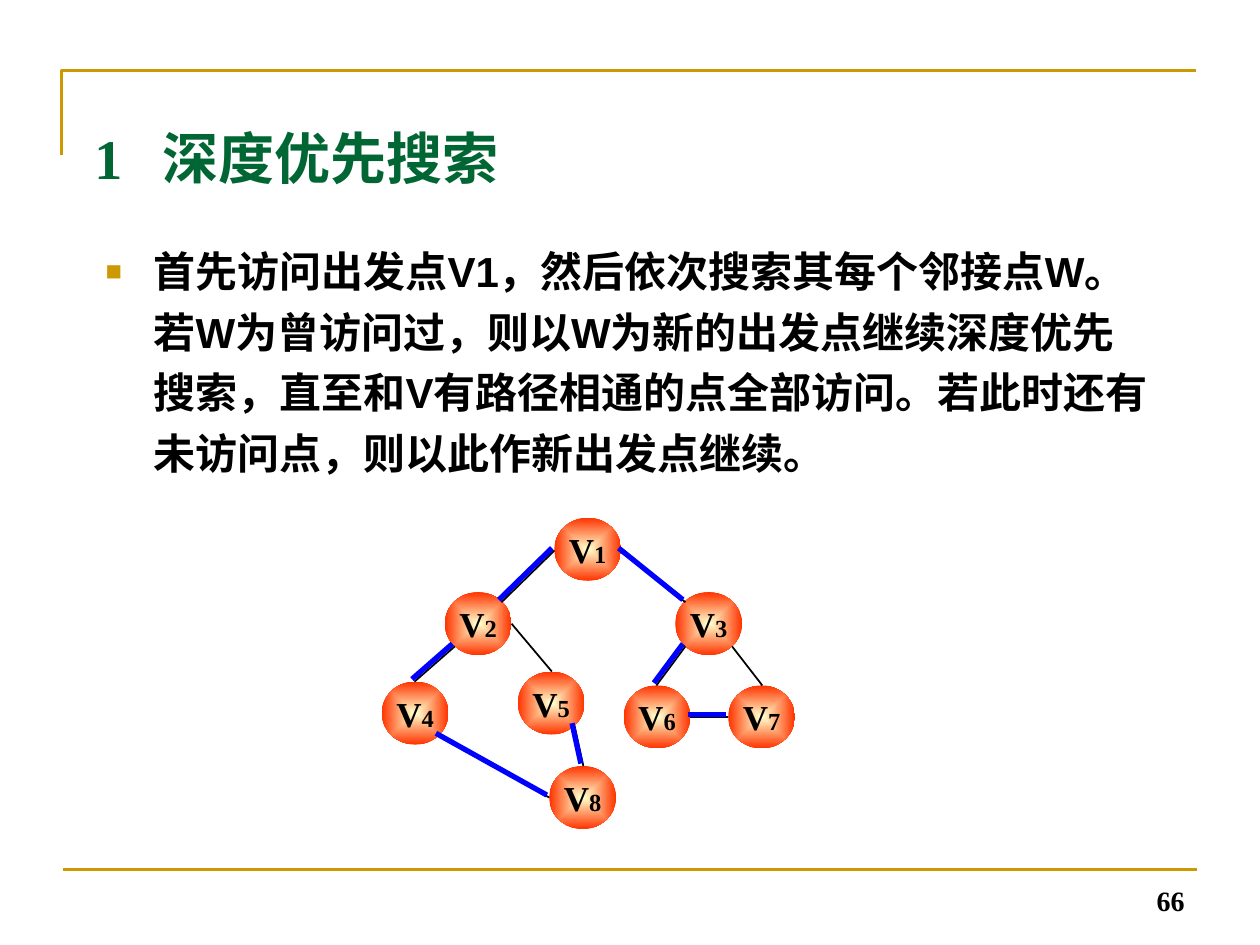
from pptx import Presentation
from pptx.dml.color import RGBColor
from pptx.enum.shapes import MSO_CONNECTOR, MSO_SHAPE
from pptx.enum.text import MSO_ANCHOR, PP_ALIGN
from pptx.oxml.ns import qn
from pptx.util import Inches, Pt
from lxml import etree

STRAIGHT = MSO_CONNECTOR.STRAIGHT
OVAL = MSO_SHAPE.OVAL
TOP, MIDDLE, BOTTOM = MSO_ANCHOR.TOP, MSO_ANCHOR.MIDDLE, MSO_ANCHOR.BOTTOM
LEFT, CENTER, RIGHT = PP_ALIGN.LEFT, PP_ALIGN.CENTER, PP_ALIGN.RIGHT

SERIF, SANS = "Times New Roman", "Arial"
GOLD, GREEN, BLACK, BLUE = "CC9900", "006633", "000000", "0000FF"
GRADIENT = ["FFFFCC", "FF3300"]

TITLE = "1\t深度优先搜索"
BODY = ("首先访问出发点V1，然后依次搜索其每个邻接点W。若W为曾访问过，"
        "则以W为新的出发点继续深度优先搜索，直至和V有路径相通的点全部访问。"
        "若此时还有未访问点，则以此作新出发点继续。")
PAGE_NUMBER = "66"

NODE_SIZE = (0.53, 0.5)
NODES = {
    "1": (4.4, 4.11), "2": (3.53, 4.7), "3": (5.36, 4.7), "4": (3.03, 5.41),
    "5": (4.11, 5.33), "6": (4.95, 5.44), "7": (5.78, 5.44), "8": (4.36, 6.08),
}
TREE_EDGES = [
    ((4.4, 4.37), (3.98, 4.78)),
    ((3.61, 5.13), (3.29, 5.41)),
    ((4.36, 6.33), (3.48, 5.84)),
    ((4.56, 5.76), (4.63, 6.08)),
    ((4.93, 4.37), (5.44, 4.78)),
    ((5.44, 5.13), (5.21, 5.44)),
    ((5.48, 5.69), (5.78, 5.69)),
]
OTHER_EDGES = [
    ((5.81, 5.13), (6.05, 5.44)),
    ((4.06, 4.95), (4.38, 5.33)),
]
TREE_SHIFT = -0.02


def color(value):
    return RGBColor.from_string(value)


def set_font(font, name, size, value):
    font.name = name
    font.size = Pt(size)
    font.bold = True
    font.color.rgb = color(value)


def add_line(slide, start, end, value, width, shift=0):
    points = [Inches(part + shift) for part in (*start, *end)]
    line = slide.shapes.add_connector(STRAIGHT, *points)
    line.line.color.rgb = color(value)
    line.line.width = Pt(width)
    etree.SubElement(line._element.spPr, qn("a:effectLst"))


def add_text(slide, box, text, anchor, align):
    shape = slide.shapes.add_textbox(*map(Inches, box))
    frame = shape.text_frame
    frame.word_wrap = True
    frame.vertical_anchor = anchor
    paragraph = frame.paragraphs[0]
    paragraph.text = text
    paragraph.alignment = align
    return paragraph


def add_property(paragraph, tag, **attributes):
    return etree.SubElement(paragraph._p.get_or_add_pPr(), qn(tag), attributes)


def add_frame(slide):
    builder = slide.shapes.build_freeform(Inches(0.49), Inches(1.23))
    corner = [(Inches(x), Inches(0.56)) for x in (0.49, 9.49)]
    builder.add_line_segments(corner, close=False)
    frame = builder.convert_to_shape()
    frame.shadow.inherit = False
    frame.fill.background()
    frame.line.color.rgb = color(GOLD)
    frame.line.width = Pt(1.5)
    add_line(slide, (0.5, 6.9), (9.5, 6.9), GOLD, 1.5)


def add_node(slide, number, position):
    node = slide.shapes.add_shape(OVAL, *map(Inches, position + NODE_SIZE))
    node.shadow.inherit = False
    node.line.fill.background()
    node.fill.gradient()
    for stop, value, place in zip(node.fill.gradient_stops, GRADIENT, (0, 1)):
        stop.color.rgb = color(value)
        stop.position = place
    gradient = node._element.spPr.find(qn("a:gradFill"))
    gradient.remove(gradient.find(qn("a:lin")))
    shade = etree.SubElement(gradient, qn("a:path"), {"path": "rect"})
    center = dict.fromkeys("ltrb", "50000")
    etree.SubElement(shade, qn("a:fillToRect"), center)

    frame = node.text_frame
    frame.word_wrap = False
    frame.vertical_anchor = MIDDLE
    paragraph = frame.paragraphs[0]
    paragraph.alignment = CENTER
    for text, size in (("V", 20), (number, 14)):
        run = paragraph.add_run()
        run.text = text
        set_font(run.font, SERIF, size, BLACK)


presentation = Presentation()
presentation.slide_width = Inches(10)
presentation.slide_height = Inches(7.5)
slide = presentation.slides.add_slide(presentation.slide_layouts[6])

add_frame(slide)

title = add_text(slide, (0.65, 0.93, 9, 1.25), TITLE, TOP, LEFT)
tabs = add_property(title, "a:tabLst")
etree.SubElement(tabs, qn("a:tab"), {"pos": str(Inches(0.54)), "algn": "l"})
set_font(title.font, SERIF, 32, GREEN)

body = add_text(slide, (0.74, 1.82, 8.52, 2.02), BODY, TOP, LEFT)
indent = Inches(0.38)
body._p.get_or_add_pPr().set("marL", str(indent))
body._p.get_or_add_pPr().set("indent", str(-indent))
bullet_color = add_property(body, "a:buClr")
etree.SubElement(bullet_color, qn("a:srgbClr"), {"val": GOLD})
add_property(body, "a:buSzPct", val="65000")
add_property(body, "a:buFont", typeface=SANS)
add_property(body, "a:buChar", char="■")
body.line_spacing = 1.2
set_font(body.font, SANS, 24, BLACK)

for number, position in NODES.items():
    add_node(slide, number, position)
for start, end in TREE_EDGES + OTHER_EDGES:
    add_line(slide, start, end, BLACK, 1)
for start, end in TREE_EDGES:
    add_line(slide, start, end, BLUE, 3, TREE_SHIFT)

page = add_text(slide, (7.17, 6.83, 2.33, 0.5), PAGE_NUMBER, BOTTOM, RIGHT)
set_font(page.font, SERIF, 16, BLACK)

presentation.save("out.pptx")
